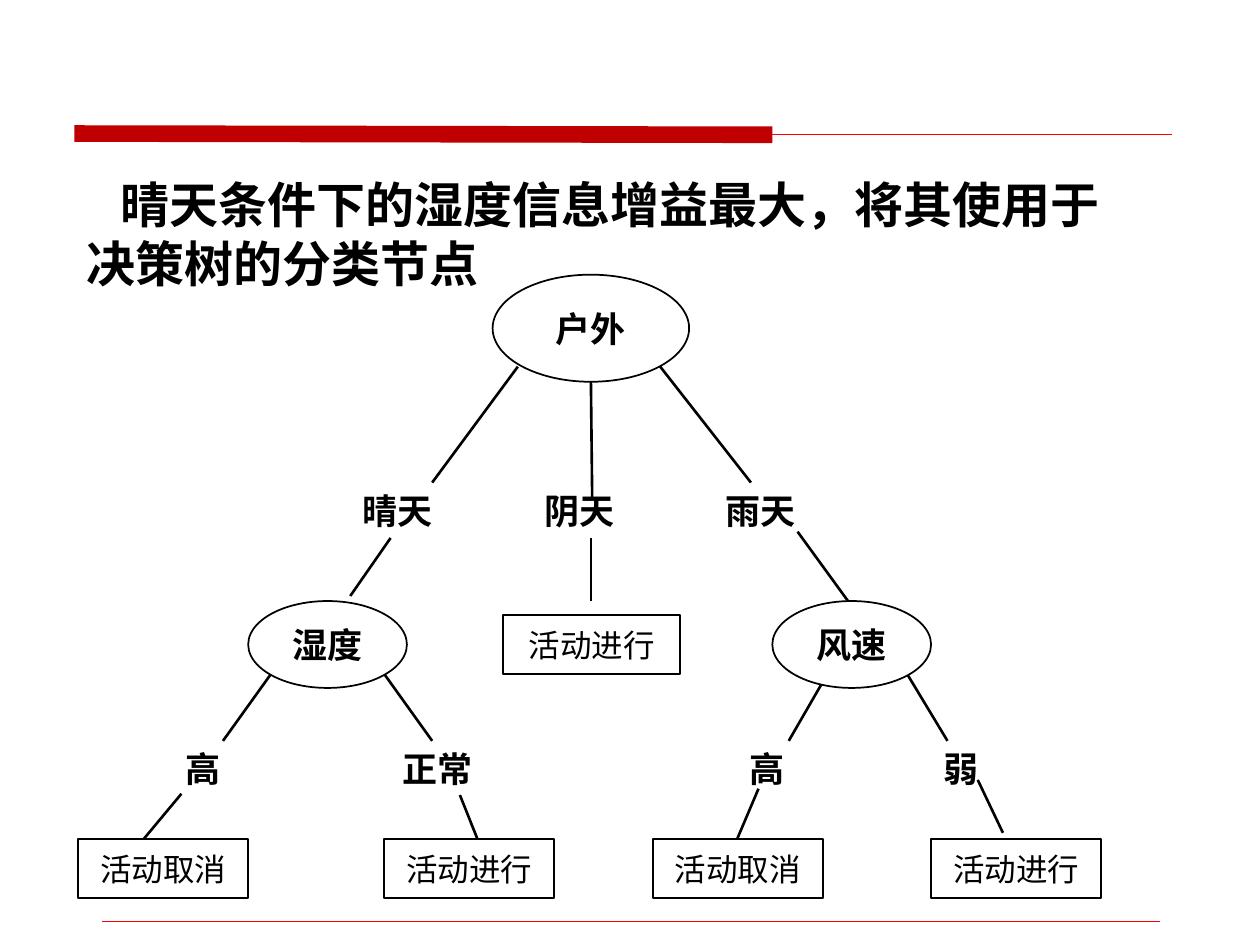
"""Builds a slide with a decision tree for outdoor activities."""
from lxml import etree
from pptx import Presentation
from pptx.dml.color import RGBColor
from pptx.enum.shapes import MSO_CONNECTOR, MSO_SHAPE
from pptx.enum.text import MSO_ANCHOR, MSO_AUTO_SIZE, PP_ALIGN
from pptx.oxml.ns import qn
from pptx.util import Inches, Pt

STRAIGHT = MSO_CONNECTOR.STRAIGHT
OVAL, RECT = MSO_SHAPE.OVAL, MSO_SHAPE.RECTANGLE
MIDDLE, TOP = MSO_ANCHOR.MIDDLE, MSO_ANCHOR.TOP
CENTER, LEFT = PP_ALIGN.CENTER, PP_ALIGN.LEFT
NO_FIT = MSO_AUTO_SIZE.NONE
COLORS = {"black": "000000", "white": "FFFFFF", "red": "FF0000", "dark red": "C00000"}
CJK = "Noto Sans CJK SC"

prs = Presentation()
prs.slide_width, prs.slide_height = Inches(10), Inches(7.5)
COL, ROW = prs.slide_width / 100, prs.slide_height / 75
s = prs.slides.add_slide(prs.slide_layouts[5])


def set_text(sp, text, size, bold, font, align, anchor):
    tf = sp.text_frame
    tf.text = text
    tf.word_wrap = True
    tf.auto_size = NO_FIT
    tf.vertical_anchor = anchor
    p = tf.paragraphs[0]
    p.alignment = align
    r = p.runs[0]
    r.font.size, r.font.bold, r.font.name = Pt(size), bold, font
    r.font.color.rgb = RGBColor.from_string(COLORS["black"])
    etree.SubElement(r.font._element, qn("a:ea")).set("typeface", CJK)


def add_line(x1, y1, x2, y2, color, width):
    ln = s.shapes.add_connector(
        STRAIGHT, int(x1 * COL), int(y1 * ROW), int(x2 * COL), int(y2 * ROW))
    ln.line.color.rgb = RGBColor.from_string(COLORS[color])
    ln.line.width = Pt(width)
    etree.SubElement(ln._element.spPr, qn("a:effectLst"))


rules = [
    (9, 10.7, 93, 10.7, "red", 0.5),
    (5.9, 10.6, 61.3, 10.7, "dark red", 9.5),
    (8.1, 73.1, 92.1, 73.1, "red", 0.5),
]
for rule in rules:
    add_line(*rule)

title = s.shapes.title
title.left, title.top = int(5.9 * COL), int(13.3 * ROW)
title.width, title.height = int(83.9 * COL), int(10.4 * ROW)
set_text(title, "晴天条件下的湿度信息增益最大，将其使用于决策树的分类节点",
         28, True, CJK, LEFT, TOP)
p = title.text_frame.paragraphs[0]
p.line_spacing = Pt(33.8)
p._p.get_or_add_pPr().set("indent", str(int(2.7 * COL)))

branches = [
    (41.1, 29.1, 34.3, 38.3), (46.9, 30.3, 47, 39.6), (52.4, 29.1, 59.6, 38.3),
    (31, 42.7, 27.8, 47.3), (46.9, 42.7, 46.9, 47.7), (63.3, 42.2, 67.3, 47.7),
    (21.5, 53.5, 17.7, 58.8), (30.5, 53.5, 34.3, 58.8),
    (65.2, 54.3, 62.6, 58.8), (72, 53.5, 75.2, 58.8),
    (14.4, 63, 11.4, 66.6), (36.5, 63.1, 37.9, 66.6),
    (60.2, 62.6, 58.5, 66.6), (77.6, 61.9, 79.6, 66.1),
]
for branch in branches:
    add_line(*branch, "black", 1.5)

nodes = [
    (OVAL, "户外", 39.1, 21.8, 15.6, 8.5),
    (OVAL, "湿度", 19.7, 47.7, 12.6, 6.9),
    (OVAL, "风速", 61.3, 47.7, 12.6, 6.9),
    (RECT, "活动进行", 39.9, 48.8, 14.1, 4.7),
    (RECT, "活动取消", 6.2, 66.6, 13.5, 4.7),
    (RECT, "活动进行", 30.5, 66.6, 13.5, 4.7),
    (RECT, "活动取消", 51.8, 66.6, 13.5, 4.7),
    (RECT, "活动进行", 73.9, 66.6, 13.5, 4.7),
]
for kind, text, x, y, w, h in nodes:
    sp = s.shapes.add_shape(kind, int(x * COL), int(y * ROW), int(w * COL), int(h * ROW))
    sp.shadow.inherit = False
    sp.fill.solid()
    sp.fill.fore_color.rgb = RGBColor.from_string(COLORS["white"])
    sp.line.color.rgb = RGBColor.from_string(COLORS["black"])
    sp.line.width = Pt(1)
    is_test = kind == OVAL
    set_text(sp, text, 20 if is_test else 18, is_test, "Arial", CENTER, MIDDLE)

labels = [
    ("晴天", 27.8, 38.3, 9.6), ("阴天", 42.2, 38.3, 9.6), ("雨天", 56.6, 38.3, 9.6),
    ("高", 13.7, 58.8, 5.8), ("正常", 31, 58.8, 9.6),
    ("高", 58.5, 58.8, 5.8), ("弱", 73.9, 58.8, 5.8),
]
for text, x, y, w in labels:
    sp = s.shapes.add_textbox(int(x * COL), int(y * ROW), int(w * COL), int(4.4 * ROW))
    set_text(sp, text, 20, True, "Arial", LEFT, MIDDLE)

prs.save("out.pptx")
